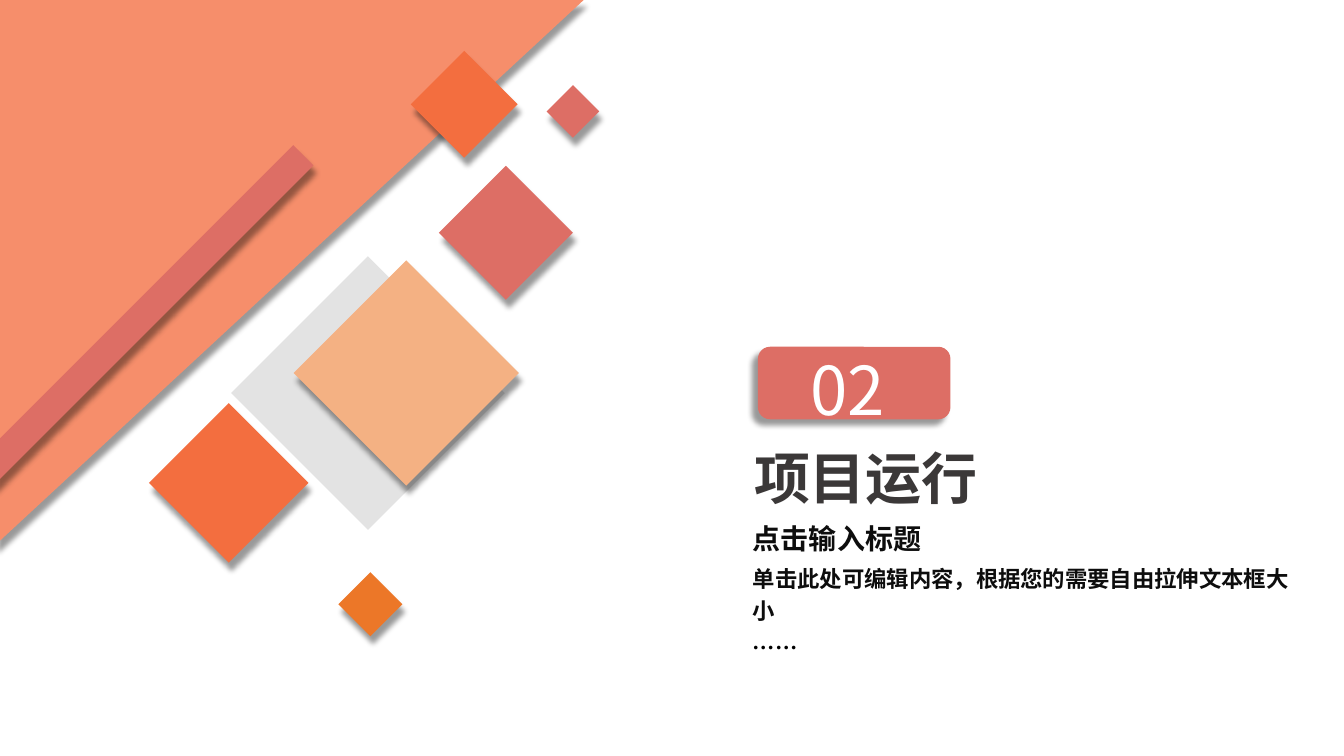
from pptx import Presentation
from pptx.dml.color import RGBColor
from pptx.enum.shapes import MSO_SHAPE
from pptx.enum.text import MSO_ANCHOR, MSO_AUTO_SIZE, PP_ALIGN
from pptx.oxml import parse_xml
from pptx.oxml.ns import nsdecls, qn
from pptx.util import Pt
from lxml.etree import SubElement

TITLE = "项目运行"
LINES = [
    ("点击输入标题", "head", "ink"),
    ("单击此处可编辑内容，根据您的需要自由拉伸文本框大小", "body", "ink"),
    ("……", "body", "black"),
]
NUMBER = "02"

THEME = {
    "font": "Noto Sans CJK SC",
    "color": {
        "salmon": "F68E6B", "rose": "DD6E65", "sand": "F4B183", "amber": "EC7728",
        "orange": "F36E3F", "grey": "D9D9D9", "white": "FFFFFF", "title": "3B3838",
        "ink": "0D0D0D", "black": "000000",
    },
    "size": {"number": 48, "title": 40, "head": 20, "body": 16},
}

WEDGE = (12.25, -15.85, 389.5, 420.5)
BAR = [(-5, 347), (-5, 318.2), (209.5, 103.7), (223.9, 118.1)]
PALE = (262.8, 280.8, 138.2, "grey")
TILES = [
    (290.2, 266.4, 113.8, "sand"),
    (264.6, 431.6, 32.4, "amber"),
    (163.4, 344.9, 80.6, "orange"),
    (361.4, 166.3, 67.7, "rose"),
    (331.6, 74.5, 54, "orange"),
    (409.3, 79.6, 26.6, "rose"),
]
BADGE = (541.4, 247.7, 137.5, 51.8)
PLACES = {
    "number": (573.8, 244.1, 98.6, 65.5),
    "title": (538.6, 307.4, 195.8, 53.3),
    "body": (537.8, 367.9, 394.6, 106.6),
}


def tint(key):
    return RGBColor.from_string(THEME["color"][key])


def apply(target, form):
    for name, value in form.items():
        setattr(target, name, value)


def shade(shape, angle):
    shape._element.spPr.append(parse_xml(
        f'<a:effectLst {nsdecls("a")}><a:outerShdw blurRad="{Pt(4)}" dist="{Pt(6)}" '
        f'dir="{angle * 60000}" algn="t" rotWithShape="0"><a:srgbClr val="000000">'
        '<a:alpha val="40000"/></a:srgbClr></a:outerShdw></a:effectLst>'))


def paint(shape, key, angle=None):
    shape.fill.solid()
    shape.fill.fore_color.rgb = tint(key)
    shape.line.fill.background()
    if angle is None:
        shape.shadow.inherit = False
    else:
        shade(shape, angle)
    return shape


def block(kind, box):
    return slide.shapes.add_shape(kind, *map(Pt, box))


def tile(x, y, side, key, angle=70):
    shape = block(MSO_SHAPE.RECTANGLE, (x - side / 2, y - side / 2, side, side))
    shape.rotation = 315
    return paint(shape, key, angle)


def place(shape, box, inset=0):
    apply(shape, dict(zip(("left", "top", "width", "height"), map(Pt, box))))
    frame = shape.text_frame
    form = dict.fromkeys(
        ("margin_left", "margin_top", "margin_right", "margin_bottom"), Pt(inset))
    form |= {"word_wrap": True, "auto_size": MSO_AUTO_SIZE.NONE,
             "vertical_anchor": MSO_ANCHOR.TOP}
    apply(frame, form)
    return frame


def write(para, text, size, key, bold=True, lead=1.2):
    points = THEME["size"][size]
    run = para.add_run()
    run.text = text
    apply(run.font, {"name": THEME["font"], "size": Pt(points), "bold": bold})
    run.font.color.rgb = tint(key)
    SubElement(run.font._element, qn("a:ea")).set("typeface", THEME["font"])
    gap = Pt(points / 5) if lead > 1 else Pt(0)
    apply(para, {"alignment": PP_ALIGN.LEFT, "line_spacing": lead, "space_before": gap})


deck = Presentation()
apply(deck, {"slide_width": Pt(960), "slide_height": Pt(540)})
slide = deck.slides.add_slide(deck.slide_layouts[1])

tile(*PALE, angle=None).fill._xPr.find(qn("a:solidFill"))[0].append(
    parse_xml(f'<a:alpha {nsdecls("a")} val="73000"/>'))
wedge = paint(block(MSO_SHAPE.RIGHT_TRIANGLE, WEDGE), "salmon", 70)
wedge.rotation = 90
pen = slide.shapes.build_freeform(*map(Pt, BAR[0]))
pen.add_line_segments([(Pt(x), Pt(y)) for x, y in BAR[1:]], close=True)
paint(pen.convert_to_shape(), "rose", 70)
for item in TILES:
    tile(*item)

badge = paint(block(MSO_SHAPE.ROUNDED_RECTANGLE, BADGE), "rose", 135)
number = slide.shapes.add_textbox(0, 0, 0, 0)
frame = place(number, PLACES["number"], 5)
write(frame.paragraphs[0], NUMBER, "number", "white", False, 1)

frame = place(slide.shapes.title, PLACES["title"])
write(frame.paragraphs[0], TITLE, "title", "title")
frame = place(slide.placeholders[1], PLACES["body"])
for spot, (text, size, key) in enumerate(LINES):
    para = frame.add_paragraph() if spot else frame.paragraphs[0]
    write(para, text, size, key)
    props = para._p.get_or_add_pPr()
    apply_indent = {"marL": "0", "indent": "0"}
    for name, value in apply_indent.items():
        props.set(name, value)
    SubElement(props, qn("a:buNone"))

deck.save("out.pptx")
